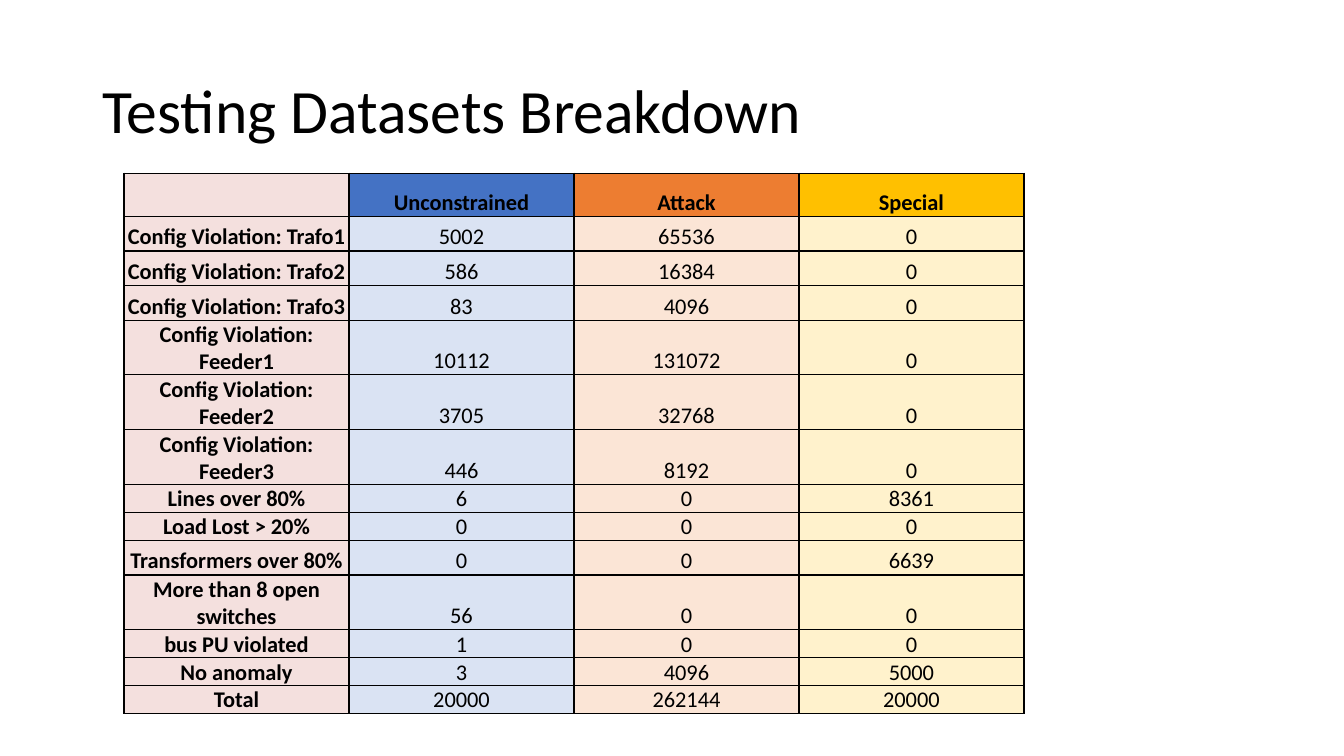
"""Build the slide with the breakdown table of the testing datasets."""
import pptx
import pptx.dml.color
import pptx.enum.text
import pptx.oxml
import pptx.oxml.ns
import pptx.util

Pt = pptx.util.Pt
RGB = pptx.dml.color.RGBColor.from_string
ANCHOR = pptx.enum.text.MSO_ANCHOR
ALIGN = pptx.enum.text.PP_ALIGN

TITLE = "Testing Datasets Breakdown"
HEADER = ("", "Unconstrained", "Attack", "Special")
ROWS = [
    ("Config Violation: Trafo1", 5002, 65536, 0),
    ("Config Violation: Trafo2", 586, 16384, 0),
    ("Config Violation: Trafo3", 83, 4096, 0),
    ("Config Violation: Feeder1", 10112, 131072, 0),
    ("Config Violation: Feeder2", 3705, 32768, 0),
    ("Config Violation: Feeder3", 446, 8192, 0),
    ("Lines over 80%", 6, 0, 8361),
    ("Load Lost > 20%", 0, 0, 0),
    ("Transformers over 80%", 0, 0, 6639),
    ("More than 8 open switches", 56, 0, 0),
    ("bus PU violated", 1, 0, 0),
    ("No anomaly", 3, 4096, 5000),
    ("Total", 20000, 262144, 20000),
]
COLORS = {
    "ink": "000000", "label": "F4E0DE",
    "blue": "4472C4", "orange": "ED7D31", "gold": "FFC000",
    "pale blue": "DAE3F3", "pale orange": "FBE5D6", "pale gold": "FFF2CC",
}
HEADER_FILLS = ("label", "blue", "orange", "gold")
BODY_FILLS = ("label", "pale blue", "pale orange", "pale gold")
FONT = "Calibri"
LEFT, TOP, COL_W = 88.6, 123.8, 160.7
ROW_H = [30.8] + [24.7] * 6 + [16.5] * 2 + [24.7, 32.5, 16.5, 16, 16]


def style(p, size, bold=False):
    for r in p.runs:
        r.font.name = FONT
        r.font.size = Pt(size)
        r.font.bold = bold
        r.font.color.rgb = RGB(COLORS["ink"])


def add_borders(cell):
    props = cell._tc.get_or_add_tcPr()
    for i, side in enumerate(("lnL", "lnR", "lnT", "lnB")):
        line = pptx.oxml.parse_xml(
            f'<a:{side} {pptx.oxml.ns.nsdecls("a")} w="{Pt(1)}"><a:solidFill>'
            f'<a:srgbClr val="{COLORS["ink"]}"/></a:solidFill></a:{side}>')
        props.insert(i, line)


def fill_cell(cell, value, fill, bold):
    cell.margin_left = cell.margin_right = cell.margin_top = Pt(0.75)
    cell.margin_bottom = Pt(0)
    cell.vertical_anchor = ANCHOR.BOTTOM
    cell.fill.solid()
    cell.fill.fore_color.rgb = RGB(COLORS[fill])
    cell.text_frame.text = str(value)
    p = cell.text_frame.paragraphs[0]
    p.alignment = ALIGN.CENTER
    style(p, 16, bold)
    add_borders(cell)


prs = pptx.Presentation()
prs.slide_width, prs.slide_height = Pt(960), Pt(540)
s = prs.slides.add_slide(prs.slide_layouts[6])

tf = s.shapes.add_textbox(Pt(66), Pt(28.75), Pt(828), Pt(104.4)).text_frame
tf.word_wrap = True
tf.vertical_anchor = ANCHOR.MIDDLE
tf.text = TITLE
tf.paragraphs[0].line_spacing = 0.9
style(tf.paragraphs[0], 44)

grid = [HEADER] + ROWS
table = s.shapes.add_table(len(grid), len(HEADER), Pt(LEFT), Pt(TOP),
                           Pt(COL_W * len(HEADER)), Pt(sum(ROW_H))).table
for col in table.columns:
    col.width = Pt(COL_W)
for i, (values, height) in enumerate(zip(grid, ROW_H)):
    table.rows[i].height = Pt(height)
    fills = BODY_FILLS if i else HEADER_FILLS
    for j, (value, fill) in enumerate(zip(values, fills)):
        fill_cell(table.cell(i, j), value, fill, bold=i == 0 or j == 0)

prs.save("out.pptx")
